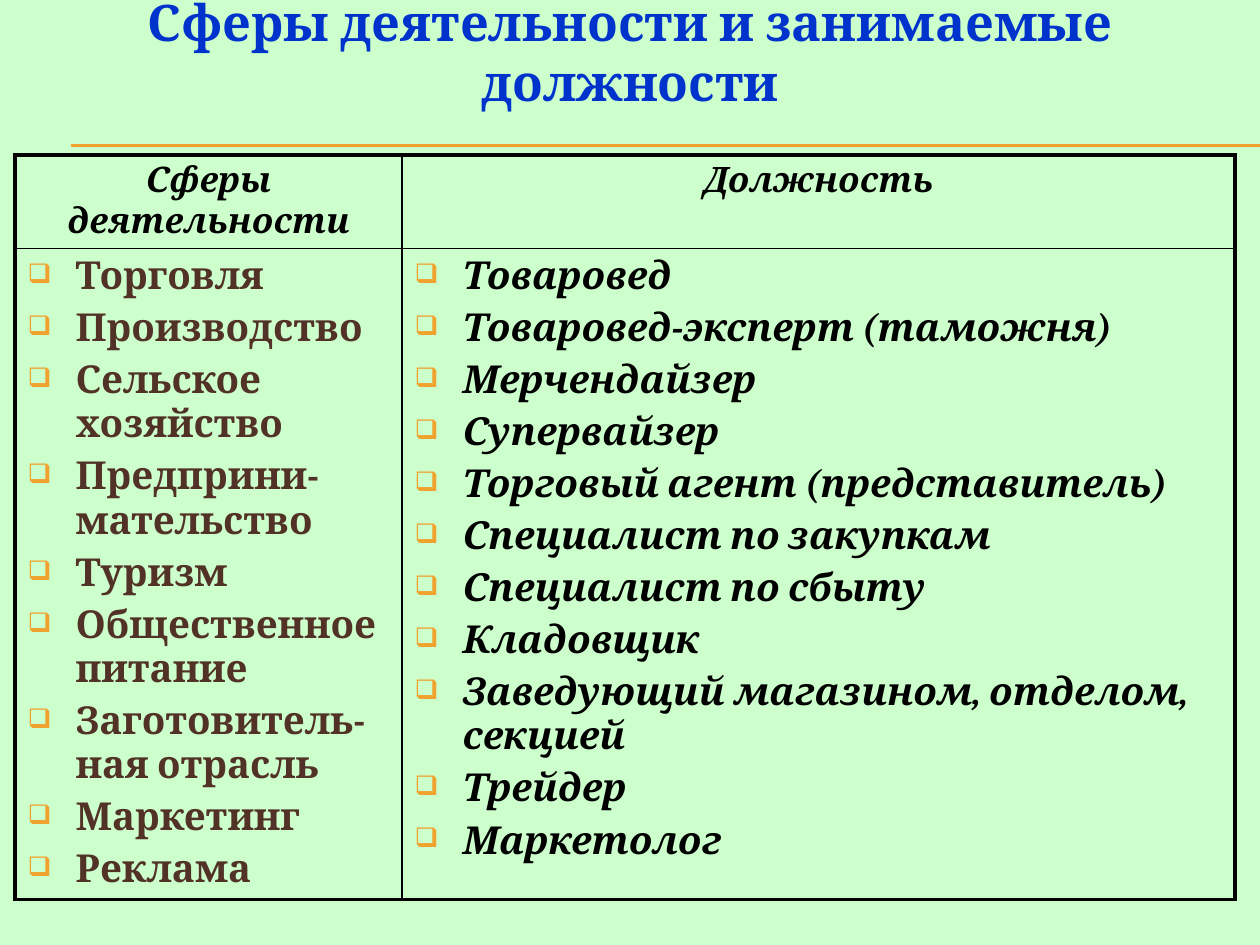
from lxml.etree import SubElement
from pptx import Presentation
from pptx.dml.color import RGBColor
from pptx.enum.shapes import MSO_CONNECTOR
from pptx.enum.text import MSO_ANCHOR, PP_ALIGN
from pptx.oxml.ns import qn
from pptx.util import Pt

TITLE = "Сферы деятельности и занимаемые должности"
HEADERS = ["Сферы деятельности", "Должность"]
SPHERES = [
    "Торговля", "Производство", "Сельское хозяйство", "Предприни-мательство",
    "Туризм", "Общественное питание", "Заготовитель-ная отрасль",
    "Маркетинг", "Реклама",
]
POSITIONS = [
    "Товаровед", "Товаровед-эксперт (таможня)", "Мерчендайзер", "Супервайзер",
    "Торговый агент (представитель)", "Специалист по закупкам",
    "Специалист по сбыту", "Кладовщик",
    "Заведующий магазином, отделом, секцией", "Трейдер", "Маркетолог",
]
COLORS = {"background": "CCFFCC", "title": "0033CC", "accent": "F0A22E",
          "sphere": "523227", "black": "000000"}
FONT = "Cambria"
EMU_PER_PX = 914400 // 126
SLIDE_WIDTH, SLIDE_HEIGHT = 1260, 945
COLUMN_WIDTHS = [387, 833]
ROW_HEIGHTS = [93, 651]
BULLET_INDENT = 48
OUTER_BORDER, INNER_BORDER = 2.25, 1


def px(value):
    return value * EMU_PER_PX


def rgb(name):
    return RGBColor.from_string(COLORS[name])


def add_bullet(paragraph):
    properties = paragraph._p.get_or_add_pPr()
    properties.set("marL", str(px(BULLET_INDENT)))
    properties.set("indent", str(-px(BULLET_INDENT)))
    color = SubElement(properties, qn("a:buClr"))
    SubElement(color, qn("a:srgbClr"), val=COLORS["accent"])
    SubElement(properties, qn("a:buSzPct"), val="70000")
    SubElement(properties, qn("a:buChar"), char="❑")


def write(text_frame, lines, *, size, color, italic=False, align=PP_ALIGN.LEFT,
          bullets=False):
    for index, line in enumerate(lines):
        paragraph = text_frame.paragraphs[0] if index == 0 else text_frame.add_paragraph()
        paragraph.alignment = align
        if index:
            paragraph.space_before = Pt(size * 0.2)
        if bullets:
            add_bullet(paragraph)
        run = paragraph.add_run()
        run.text = line
        font = run.font
        font.name, font.size, font.bold, font.italic = FONT, Pt(size), True, italic
        font.color.rgb = rgb(color)


def set_borders(cell, row, column):
    """Draw a heavy frame round the table and thin lines inside it."""
    outer_sides = {"a:lnL": column == 0, "a:lnR": column == len(COLUMN_WIDTHS) - 1,
                   "a:lnT": row == 0, "a:lnB": row == len(ROW_HEIGHTS) - 1}
    properties = cell._tc.get_or_add_tcPr()
    for side, is_outer in outer_sides.items():
        width = Pt(OUTER_BORDER if is_outer else INNER_BORDER)
        line = SubElement(properties, qn(side), w=str(width))
        fill = SubElement(line, qn("a:solidFill"))
        SubElement(fill, qn("a:srgbClr"), val=COLORS["black"])


def add_rule(slide, y):
    rule = slide.shapes.add_connector(
        MSO_CONNECTOR.STRAIGHT, px(71), px(y), px(SLIDE_WIDTH), px(y))
    rule.line.color.rgb = rgb("accent")
    rule.line.width = Pt(0.75)
    SubElement(rule._element.spPr, qn("a:effectLst"))


def add_title(slide):
    title = slide.shapes.title
    title.left, title.top, title.width, title.height = 0, px(26), px(SLIDE_WIDTH), px(110)
    frame = title.text_frame
    frame.word_wrap = True
    frame.vertical_anchor = MSO_ANCHOR.MIDDLE
    frame.margin_bottom = px(66)
    write(frame, [TITLE], size=28.8, color="title", align=PP_ALIGN.CENTER)


def add_positions_table(slide):
    table = slide.shapes.add_table(
        len(ROW_HEIGHTS), len(COLUMN_WIDTHS), px(15), px(155),
        px(sum(COLUMN_WIDTHS)), px(sum(ROW_HEIGHTS))).table
    table.first_row = table.horz_banding = False
    for column, width in zip(table.columns, COLUMN_WIDTHS):
        column.width = px(width)
    for row, height in zip(table.rows, ROW_HEIGHTS):
        row.height = px(height)

    for column, header in enumerate(HEADERS):
        write(table.cell(0, column).text_frame, [header], size=20, color="black",
              italic=True, align=PP_ALIGN.CENTER)
    write(table.cell(1, 0).text_frame, SPHERES, size=22, color="sphere", bullets=True)
    write(table.cell(1, 1).text_frame, POSITIONS, size=22, color="black",
          italic=True, bullets=True)

    for row in range(len(ROW_HEIGHTS)):
        for column in range(len(COLUMN_WIDTHS)):
            cell = table.cell(row, column)
            set_borders(cell, row, column)
            cell.fill.background()


def main():
    presentation = Presentation()
    presentation.slide_width, presentation.slide_height = px(SLIDE_WIDTH), px(SLIDE_HEIGHT)
    slide = presentation.slides.add_slide(presentation.slide_layouts[0])
    subtitle = slide.placeholders[1]._element
    subtitle.getparent().remove(subtitle)
    slide.background.fill.solid()
    slide.background.fill.fore_color.rgb = rgb("background")
    for y in (145, 146):
        add_rule(slide, y)
    add_title(slide)
    add_positions_table(slide)
    presentation.save("out.pptx")


if __name__ == "__main__":
    main()
